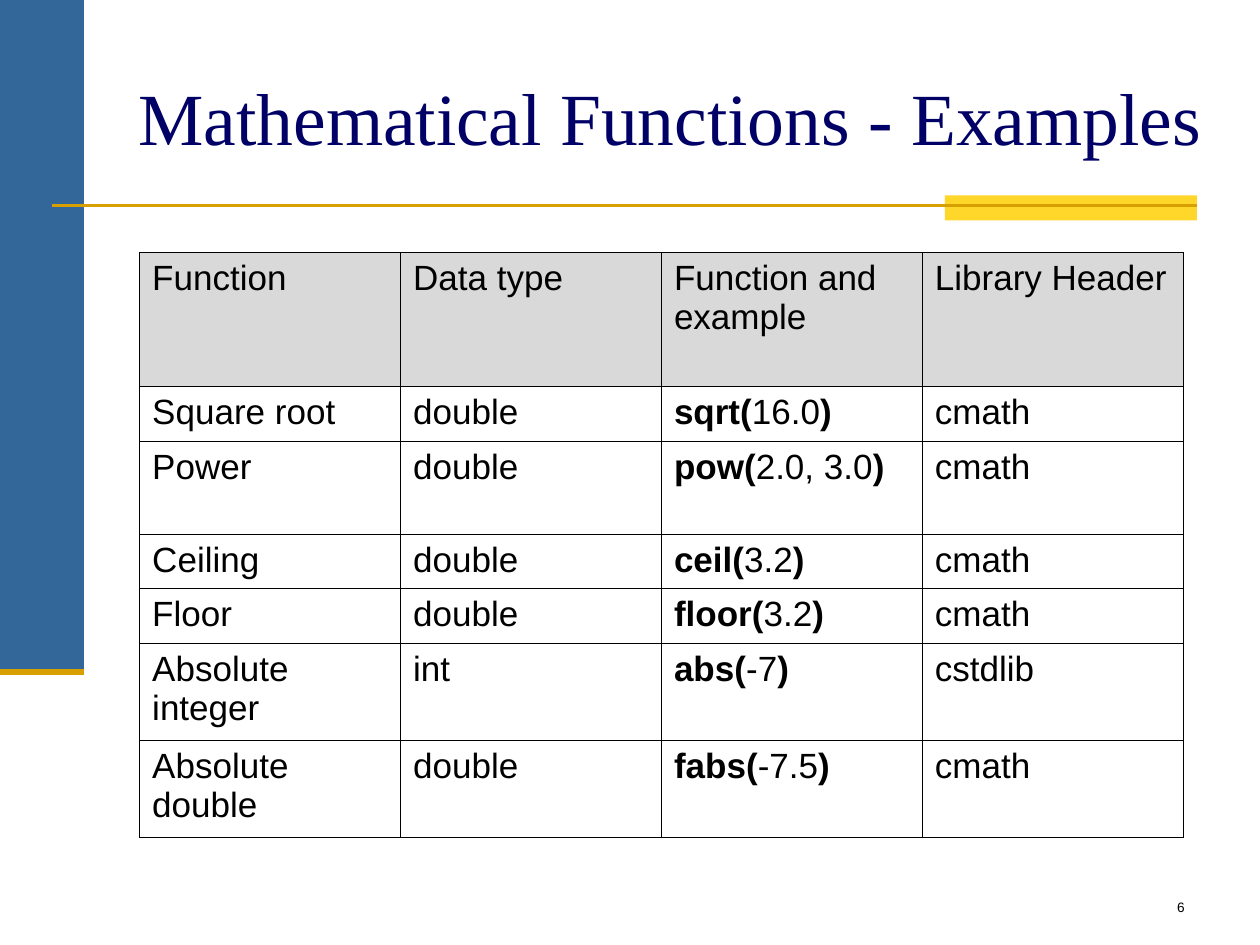
from lxml import etree
from pptx import Presentation
from pptx.dml.color import RGBColor
from pptx.enum import shapes, text
from pptx.oxml import ns
from pptx.util import Pt

HEADINGS = ["Function", "Data type", "Function and example", "Library Header"]
FUNCTIONS = [
    ("Square root", "double", "sqrt", "16.0", "cmath"),
    ("Power", "double", "pow", "2.0, 3.0", "cmath"),
    ("Ceiling", "double", "ceil", "3.2", "cmath"),
    ("Floor", "double", "floor", "3.2", "cmath"),
    ("Absolute integer", "int", "abs", "-7", "cstdlib"),
    ("Absolute double", "double", "fabs", "-7.5", "cmath"),
]
ROW_HEIGHTS = [76.5, 31.2, 53.2, 31.2, 31.2, 55.4, 55.4]


def color(value):
    """Turn a hex string into a colour."""
    return RGBColor.from_string(value)


def add_span(para, words, size, font="Arial", fill="000000", bold=False):
    """Add one run of text to a paragraph."""
    span = para.add_run()
    span.text = words
    span.font.size = Pt(size)
    span.font.name = font
    span.font.bold = bold
    span.font.color.rgb = color(fill)


def add_bar(page, left, top, width, height, fill):
    """Add a plain filled rectangle."""
    bar = page.shapes.add_shape(shapes.MSO_SHAPE.RECTANGLE,
                                Pt(left), Pt(top), Pt(width), Pt(height))
    bar.shadow.inherit = False
    bar.fill.solid()
    bar.fill.fore_color.rgb = color(fill)
    bar.line.fill.background()


def add_rule(page, left, top, width, weight):
    """Add a horizontal gold line."""
    rule = page.shapes.add_connector(shapes.MSO_CONNECTOR.STRAIGHT,
                                     Pt(left), Pt(top), Pt(left + width), Pt(top))
    rule.line.color.rgb = color("D89F00")
    rule.line.width = Pt(weight)
    etree.SubElement(rule._element.spPr, ns.qn("a:effectLst"))


def add_side_band(page, left, top, width, height):
    """Draw the blue side band with its gold lower edge."""
    add_bar(page, left, top, width, height, "336699")
    add_rule(page, left, top + height, width, 3.5)


def add_divider(page, left, top, width, height):
    """Draw the title rule over a yellow block at its right end."""
    block = 144
    add_bar(page, left + width - block, top, block, height, "FFD72B")
    add_rule(page, left, top + 5.8, width, 1.5)


def add_label(page, left, top, width, height, align, anchor):
    """Add a wrapping text box and return its paragraph."""
    box = page.shapes.add_textbox(Pt(left), Pt(top), Pt(width), Pt(height))
    frame = box.text_frame
    frame.word_wrap = True
    frame.vertical_anchor = anchor
    para = frame.paragraphs[0]
    para.alignment = align
    return para


def add_title(page, left, top, width, height):
    """Place the slide title."""
    para = add_label(page, left, top, width, height,
                     text.PP_ALIGN.LEFT, text.MSO_ANCHOR.MIDDLE)
    add_span(para, "Mathematical Functions - Examples", 42, "Times New Roman", "000066")


def add_page_number(page, left, top, width, height):
    """Place the page number."""
    para = add_label(page, left, top, width, height,
                     text.PP_ALIGN.RIGHT, text.MSO_ANCHOR.TOP)
    add_span(para, "6", 7.8)


def add_borders(cell):
    """Give a cell thin black borders on all sides."""
    properties = cell._tc.get_or_add_tcPr()
    for side in ("lnL", "lnR", "lnT", "lnB"):
        line = etree.SubElement(properties, ns.qn(f"a:{side}"), w=str(Pt(0.45)))
        solid = etree.SubElement(line, ns.qn("a:solidFill"))
        etree.SubElement(solid, ns.qn("a:srgbClr"), val="000000")


def fill_cell(cell, spans, fill=None):
    """Write (words, bold) spans into a bordered cell."""
    add_borders(cell)
    if fill:
        cell.fill.solid()
        cell.fill.fore_color.rgb = color(fill)
    else:
        cell.fill.background()
    for words, bold in spans:
        add_span(cell.text_frame.paragraphs[0], words, 20, bold=bold)


def add_function_table(page, left, top, width):
    """Build the table of functions, types, examples and headers."""
    table = page.shapes.add_table(len(ROW_HEIGHTS), len(HEADINGS), Pt(left), Pt(top),
                                  Pt(width), Pt(sum(ROW_HEIGHTS))).table
    table.first_row = table.horz_banding = False
    for column in table.columns:
        column.width = Pt(width / len(HEADINGS))
    for row, height in zip(table.rows, ROW_HEIGHTS):
        row.height = Pt(height)
    for cell, heading in zip(table.rows[0].cells, HEADINGS):
        fill_cell(cell, [(heading, False)], "D9D9D9")
    for index, (label, kind, name, arguments, header) in enumerate(FUNCTIONS, 1):
        example = [(f"{name}(", True), (arguments, False), (")", True)]
        contents = [[(label, False)], [(kind, False)], example, [(header, False)]]
        for cell, spans in zip(table.rows[index].cells, contents):
            fill_cell(cell, spans)


def main():
    """Build and save the deck."""
    deck = Presentation()
    deck.slide_width, deck.slide_height = Pt(720), Pt(540)
    page = deck.slides.add_slide(deck.slide_layouts[6])
    add_side_band(page, 0, 0, 48, 384)
    add_divider(page, 30, 111.6, 654, 14.4)
    add_page_number(page, 534, 510, 150, 18)
    add_title(page, 72, 21.6, 636, 90)
    add_function_table(page, 79.8, 144.3, 596.4)
    deck.save("out.pptx")


if __name__ == "__main__":
    main()
